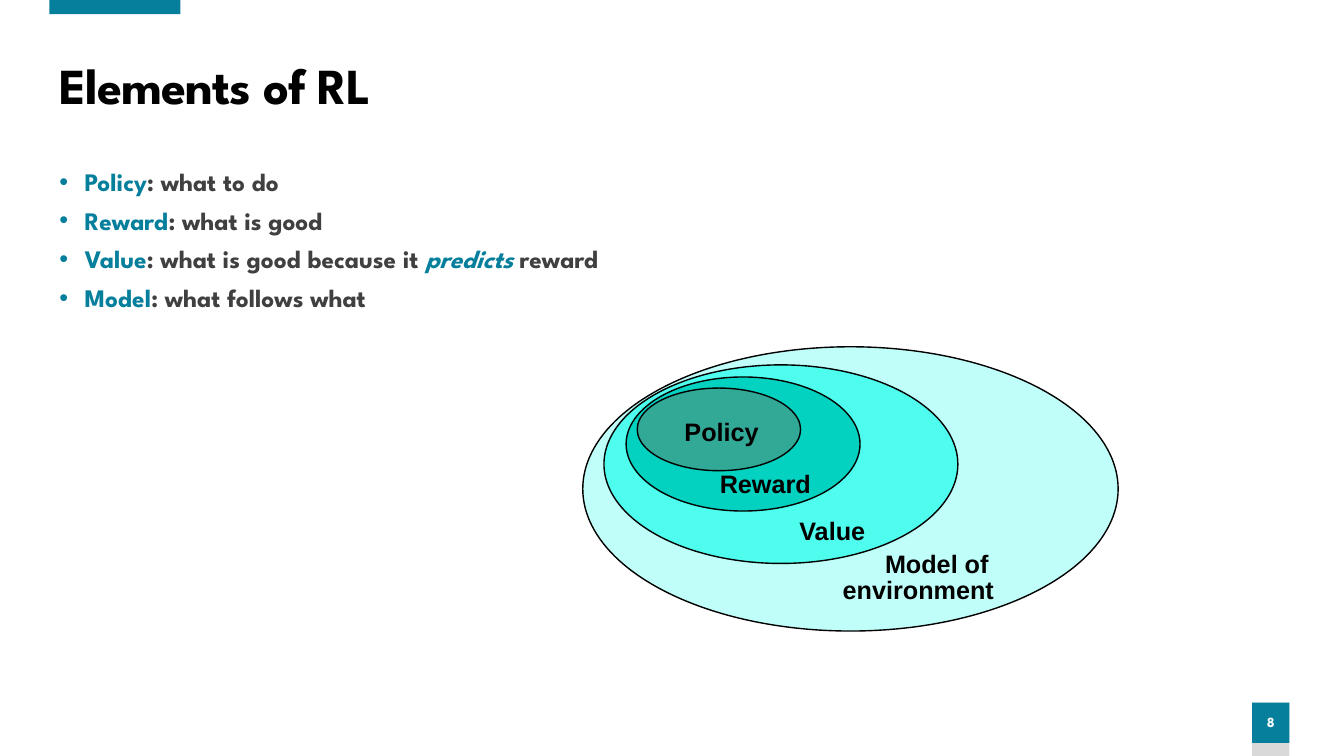
from typing import NamedTuple

from lxml.etree import SubElement
from pptx import Presentation
from pptx.dml.color import RGBColor
from pptx.enum.shapes import MSO_SHAPE as Preset
from pptx.enum.text import MSO_ANCHOR as Anchor, MSO_AUTO_SIZE as AutoSize, PP_ALIGN as Align
from pptx.oxml.ns import qn
from pptx.shapes.autoshape import Shape
from pptx.slide import Slide
from pptx.text.text import TextFrame, _Paragraph as Paragraph
from pptx.util import Inches, Pt

TEAL = RGBColor(0x06, 0x7F, 0x9C)
LIGHT_GRAY = RGBColor(0xD9, 0xD9, 0xD9)
DARK_GRAY = RGBColor(0x40, 0x40, 0x40)
BLACK = RGBColor(0, 0, 0)
WHITE = RGBColor(0xFF, 0xFF, 0xFF)
MODEL_FILL = RGBColor(0xC0, 0xFE, 0xF9)
VALUE_FILL = RGBColor(0x4F, 0xFD, 0xEE)
REWARD_FILL = RGBColor(0x03, 0xD2, 0xC1)
POLICY_FILL = RGBColor(0x32, 0xA8, 0x97)

HEADING_FONT = "League Spartan"
LABEL_FONT = "Arial"


class Box(NamedTuple):
    left: float
    top: float
    width: float
    height: float


class Panel(NamedTuple):
    box: Box
    fill: RGBColor


class Label(NamedTuple):
    text: str
    box: Box


class Bullet(NamedTuple):
    term: str
    meaning: str
    emphasis: str = ""
    ending: str = ""


PAGE_NUMBER = Panel(Box(12.42, 6.97, 0.37, 0.4), TEAL)
FOOTER_BAR = Panel(Box(12.42, 6.97, 0.37, 0.53), LIGHT_GRAY)
TOP_BAR = Panel(Box(0.49, 0, 1.3, 0.14), TEAL)

BULLETS = [
    Bullet("Policy", ": what to do"),
    Bullet("Reward", ": what is good"),
    Bullet("Value", ": what is good because it ", "predicts", " reward"),
    Bullet("Model", ": what follows what"),
]

# Nested ellipses, outermost first
ELLIPSES = [
    Panel(Box(5.78, 3.44, 5.31, 2.82), MODEL_FILL),
    Panel(Box(5.99, 3.62, 3.51, 1.97), VALUE_FILL),
    Panel(Box(6.21, 3.74, 2.32, 1.33), REWARD_FILL),
    Panel(Box(6.32, 3.85, 1.62, 0.82), POLICY_FILL),
]

LABELS = [
    Label("Policy", Box(6.69, 4.08, 0.95, 0.4)),
    Label("Reward", Box(7.04, 4.6, 1.11, 0.4)),
    Label("Value", Box(7.83, 5.06, 0.87, 0.4)),
    Label("Model of", Box(8.68, 5.39, 1.23, 0.4)),
    Label("environment", Box(8.26, 5.65, 1.71, 0.4)),
]


def add_panel(slide: Slide, preset: Preset, panel: Panel, outlined: bool = False) -> Shape:
    shape = slide.shapes.add_shape(preset, *map(Inches, panel.box))
    shape.shadow.inherit = False
    shape.fill.solid()
    shape.fill.fore_color.rgb = panel.fill
    if outlined:
        shape.line.color.rgb = BLACK
        shape.line.width = Pt(1)
    else:
        shape.line.fill.background()
    return shape


def add_text_frame(slide: Slide, box: Box) -> TextFrame:
    frame = slide.shapes.add_textbox(*map(Inches, box)).text_frame
    frame.word_wrap = True
    return frame


def set_font(paragraph: Paragraph, name: str, size: float, color: RGBColor | None = None) -> None:
    font = paragraph.font
    font.name, font.size, font.bold = name, Pt(size), True
    if color is not None:
        font.color.rgb = color


def add_run(paragraph: Paragraph, text: str, color: RGBColor, italic: bool = False) -> None:
    run = paragraph.add_run()
    run.text = text
    run.font.color.rgb = color
    if italic:
        run.font.italic = True


def add_bullet(paragraph: Paragraph, bullet: Bullet) -> None:
    paragraph.space_before = paragraph.space_after = Pt(3)
    properties = paragraph._p.get_or_add_pPr()
    properties.set("marL", str(Inches(0.25)))
    properties.set("indent", str(-Inches(0.25)))
    SubElement(properties, qn("a:buFont"), typeface="Arial")
    SubElement(properties, qn("a:buChar"), char="•")
    set_font(paragraph, HEADING_FONT, 18)
    add_run(paragraph, bullet.term, TEAL)
    add_run(paragraph, bullet.meaning, DARK_GRAY)
    if bullet.emphasis:
        add_run(paragraph, bullet.emphasis, TEAL, italic=True)
        add_run(paragraph, bullet.ending, DARK_GRAY)


def add_page_number(slide: Slide, number: str) -> None:
    frame = add_panel(slide, Preset.RECTANGLE, PAGE_NUMBER).text_frame
    frame.margin_left = frame.margin_right = 0
    frame.vertical_anchor = Anchor.MIDDLE
    paragraph = frame.paragraphs[0]
    paragraph.text = number
    paragraph.alignment = Align.CENTER
    paragraph.line_spacing = 0.9
    paragraph.space_before = Pt(10)
    set_font(paragraph, HEADING_FONT, 10, WHITE)


def add_title(slide: Slide, text: str) -> None:
    frame = add_text_frame(slide, Box(0.49, 0.55, 12.22, 0.65))
    frame.vertical_anchor = Anchor.MIDDLE
    paragraph = frame.paragraphs[0]
    paragraph.line_spacing = 0.9
    set_font(paragraph, HEADING_FONT, 36)
    add_run(paragraph, text, BLACK)
    paragraph.runs[0].font._element.set("spc", "-60")


def add_label(slide: Slide, label: Label) -> None:
    frame = add_text_frame(slide, label.box)
    frame.word_wrap = False
    frame.auto_size = AutoSize.SHAPE_TO_FIT_TEXT
    paragraph = frame.paragraphs[0]
    paragraph.text = label.text
    set_font(paragraph, LABEL_FONT, 18, BLACK)


def main() -> None:
    presentation = Presentation()
    presentation.slide_width = Inches(13.33)
    presentation.slide_height = Inches(7.5)
    slide = presentation.slides.add_slide(presentation.slide_layouts[6])

    # Page furniture
    add_panel(slide, Preset.RECTANGLE, FOOTER_BAR)
    add_page_number(slide, "8")
    add_panel(slide, Preset.RECTANGLE, TOP_BAR)

    # Title and definitions
    add_title(slide, "Elements of RL")
    body = add_text_frame(slide, Box(0.49, 1.6, 12.22, 5.22))
    for index, bullet in enumerate(BULLETS):
        add_bullet(body.add_paragraph() if index else body.paragraphs[0], bullet)

    # Nested diagram
    for ellipse in ELLIPSES:
        add_panel(slide, Preset.OVAL, ellipse, outlined=True)
    for label in LABELS:
        add_label(slide, label)

    presentation.save("out.pptx")


if __name__ == "__main__":
    main()
